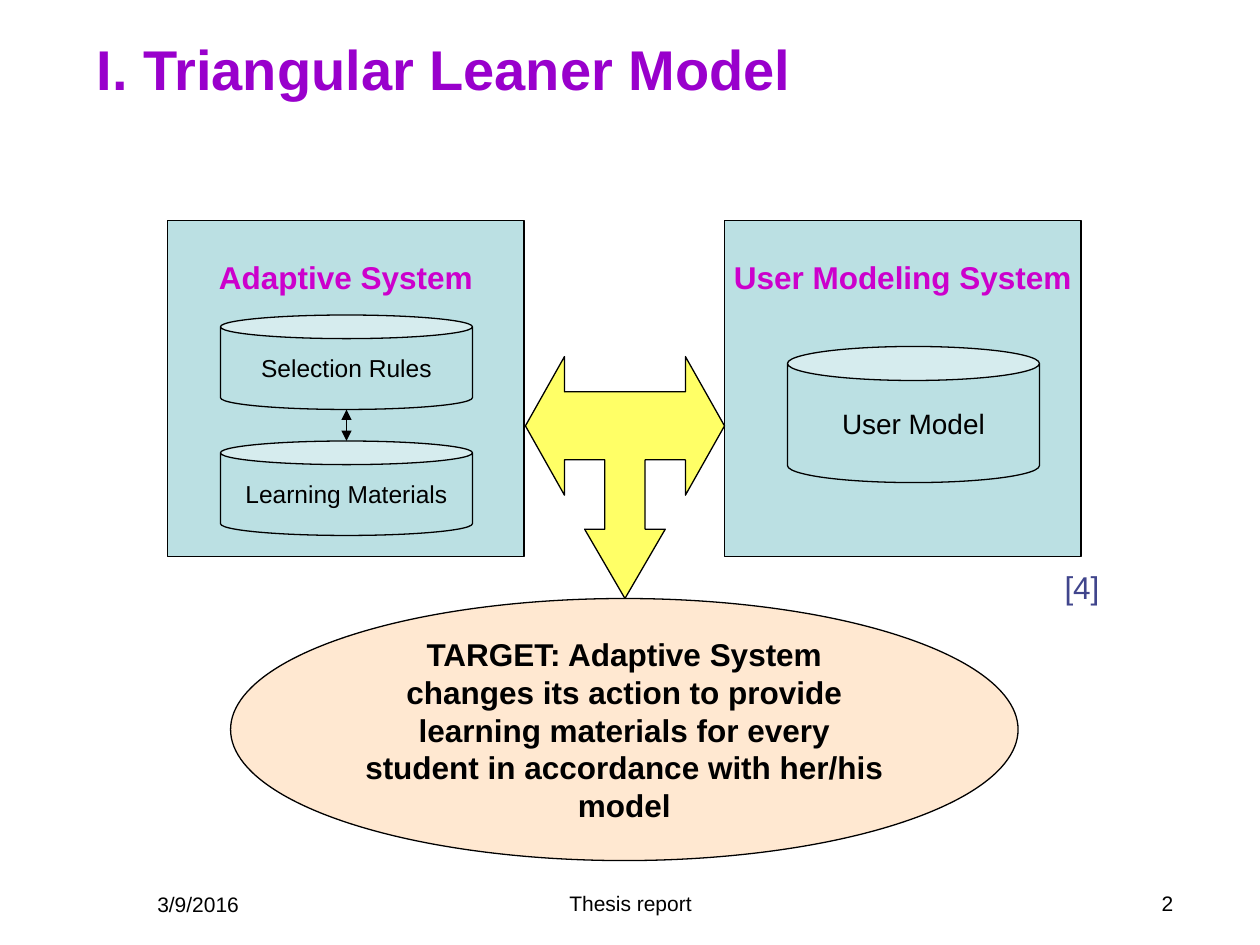
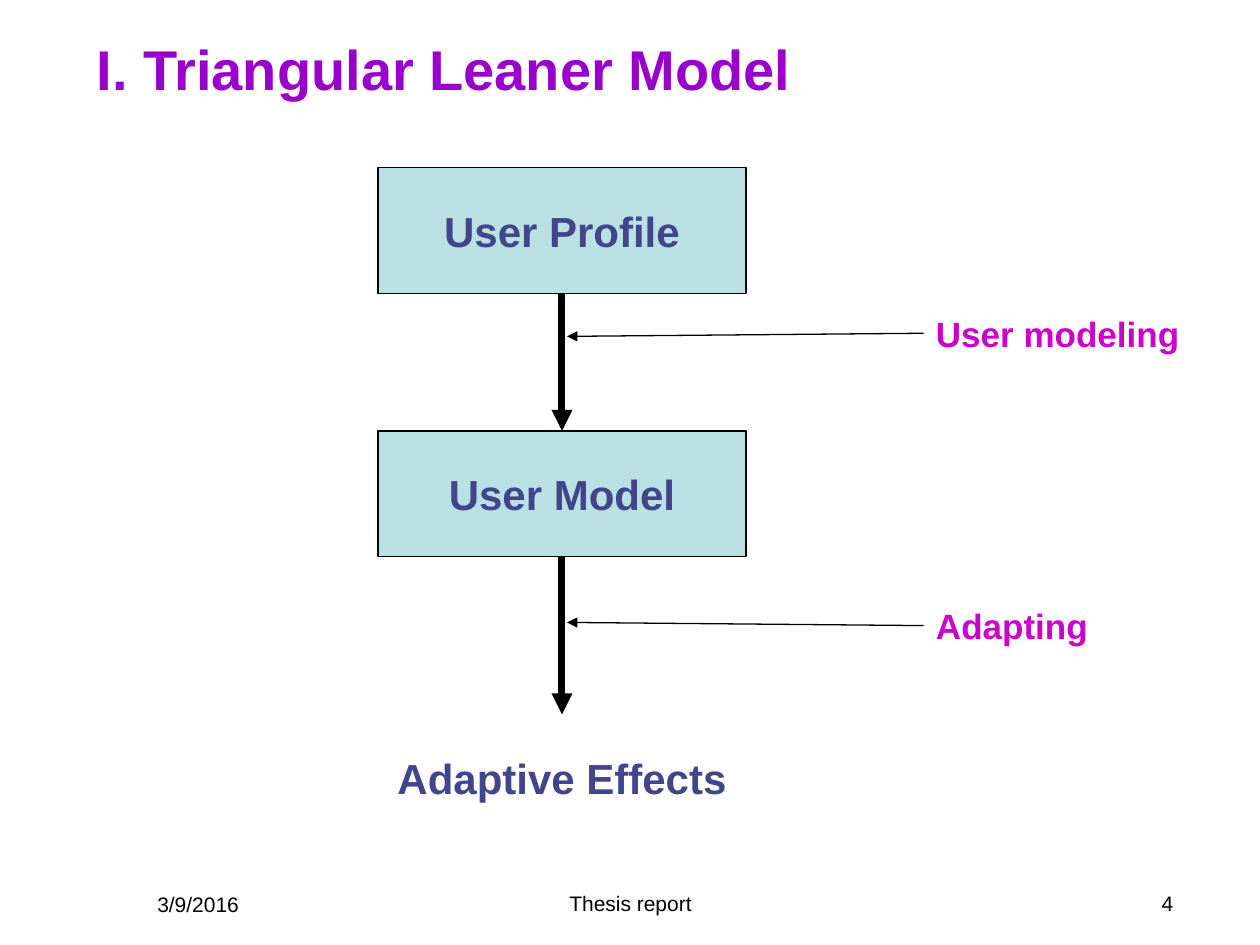
from dataclasses import dataclass
from lxml import etree
from pptx import Presentation
from pptx import util as u
from pptx.dml.color import RGBColor
from pptx.enum import shapes, text
from pptx.oxml import ns

SHAPE = shapes.MSO_SHAPE
ANCHOR = text.MSO_ANCHOR
ALIGN = text.PP_ALIGN


@dataclass(frozen=True)
class Theme:
    font: str = "Arial"
    title: str = "9900CC"
    accent: str = "CC00CC"
    navy: str = "40458C"
    ink: str = "000000"
    box: str = "BBE0E3"
    arrow: str = "FFFF66"
    target: str = "FFE8D1"
    title_size: int = 32
    node_size: int = 24
    label_size: int = 20
    body_size: int = 18
    model_size: int = 16
    store_size: int = 14
    footer_size: int = 12
    thin: float = 0.75
    thick: float = 4


T = Theme()

# Content shared by both slides
TITLE = ("I. Triangular Leaner Model", (0.67, 0.08, 8.92, 0.92))
DATE = ("3/9/2016", (1.15, 7.03, 2.33, 0.52), ALIGN.LEFT)
REPORT = ("Thesis report", (3.42, 7.02, 3.17, 0.52), ALIGN.CENTER)
NUMBER_AT = (7.08, 7.02, 2.33, 0.52)

# Content of the architecture slide
SYSTEMS = [("Adaptive System", 1.33), ("User Modeling System", 5.75)]
SYSTEM_TOP, SYSTEM_SIZE, SYSTEM_INSET = 1.75, (2.83, 2.67), 0.3
STORES = [
    ("Selection Rules", (1.75, 2.5, 2, 0.75), T.store_size),
    ("Learning Materials", (1.75, 3.5, 2, 0.75), T.store_size),
    ("User Model", (6.25, 2.75, 2, 1.08), T.model_size),
]
TARGET = ("TARGET: Adaptive System changes its action to provide learning "
          "materials for every student in accordance with her/his model",
          (1.83, 4.75, 6.25, 2.08))
CITATION = ("[4]", (8.35, 4.46, 0.48, 0.4))
# Right half of the three-way arrow: offset from its axis, then height
ARROW_AXIS, ARROW_TIP = 4.96, (0, 4.75)
ARROW_HALF = [(0.32, 4.2), (0.16, 4.2), (0.16, 3.65), (0.48, 3.65),
              (0.48, 3.93), (0.79, 3.38), (0.48, 2.83), (0.48, 3.11)]

# Content of the process slide
STAGES = [("User Profile", 1.33, True), ("User Model", 3.42, True),
          ("Adaptive Effects", 5.67, False)]
STAGE_LEFT, STAGE_SIZE = 3, (2.92, 1)
# Label, its box, and the height where its pointer meets the flow
STEPS = [("User modeling", (7.33, 2.43, 2.13, 0.43), 2.67),
         ("Adapting", (7.33, 4.75, 1.41, 0.43), 4.94)]
POINTER_END = 4.5


def inches(values):
    return [u.Inches(v) for v in values]


def write(sp, words, size, color=T.ink, bold=False, align=ALIGN.CENTER,
          **frame):
    tf = sp.text_frame
    for name, value in {"word_wrap": True, **frame}.items():
        setattr(tf, name, value)
    p = tf.paragraphs[0]
    p.alignment = align
    r = p.add_run()
    r.text = words
    for name, value in {"name": T.font, "size": u.Pt(size),
                        "bold": bold}.items():
        setattr(r.font, name, value)
    r.font.color.rgb = RGBColor.from_string(color)


def add_text(s, words, at, size, **style):
    sp = s.shapes.add_textbox(*inches(at))
    write(sp, words, size, **style)
    return sp


def paint(sp, fill):
    sp.shadow.inherit = False
    sp.fill.solid()
    sp.fill.fore_color.rgb = RGBColor.from_string(fill)
    sp.line.color.rgb = RGBColor.from_string(T.ink)
    sp.line.width = u.Pt(T.thin)


def add_box(s, kind, at, fill=T.box):
    sp = s.shapes.add_shape(kind, *inches(at))
    paint(sp, fill)
    return sp


def add_arrow(s, start, end, width=T.thin, ends=("tailEnd",)):
    c = s.shapes.add_connector(shapes.MSO_CONNECTOR.STRAIGHT,
                               *inches(start + end))
    c.line.color.rgb = RGBColor.from_string(T.ink)
    c.line.width = u.Pt(width)
    ln = c.line._get_or_add_ln()
    for name in ends:
        etree.SubElement(ln, ns.qn("a:" + name), type="triangle")
    etree.SubElement(c._element.spPr, ns.qn("a:effectLst"))
    return c


def add_base(prs, number):
    """Blank slide with the shared title and footers."""
    s = prs.slides.add_slide(prs.slide_layouts[6])
    for words, at, align in (DATE, REPORT, (number, NUMBER_AT, ALIGN.RIGHT)):
        add_text(s, words, at, T.footer_size, align=align)
    add_text(s, *TITLE, T.title_size, color=T.title, bold=True,
             align=ALIGN.LEFT, vertical_anchor=ANCHOR.MIDDLE)
    return s


def add_three_way_arrow(s):
    half = [ARROW_TIP] + ARROW_HALF
    left = [(-x, y) for x, y in reversed(ARROW_HALF)]
    points = [inches((ARROW_AXIS + x, y)) for x, y in half + left]
    outline = s.shapes.build_freeform(*points[0])
    outline.add_line_segments(points[1:], close=True)
    paint(outline.convert_to_shape(), T.arrow)


def architecture_slide(prs):
    s = add_base(prs, "2")
    # Systems
    for words, left in SYSTEMS:
        sp = add_box(s, SHAPE.RECTANGLE, (left, SYSTEM_TOP, *SYSTEM_SIZE))
        write(sp, words, T.body_size, color=T.accent, bold=True,
              word_wrap=False, vertical_anchor=ANCHOR.TOP,
              margin_top=u.Inches(SYSTEM_INSET))
    # Stores and the link between the first two
    for words, at, size in STORES:
        sp = add_box(s, SHAPE.CAN, at)
        write(sp, words, size, word_wrap=False, vertical_anchor=ANCHOR.MIDDLE)
    (left, top, width, height), lower = STORES[0][1], STORES[1][1]
    middle = left + width / 2
    add_arrow(s, (middle, top + height), (middle, lower[1]),
              ends=("headEnd", "tailEnd"))
    # Shared target
    add_three_way_arrow(s)
    words, at = TARGET
    write(add_box(s, SHAPE.OVAL, at, T.target), words, T.body_size,
          bold=True, vertical_anchor=ANCHOR.MIDDLE)
    add_text(s, *CITATION, T.body_size, color=T.navy, align=ALIGN.LEFT,
             word_wrap=False)


def process_slide(prs):
    s = add_base(prs, "4")
    # Stages
    stages = []
    for words, top, boxed in STAGES:
        at = (STAGE_LEFT, top, *STAGE_SIZE)
        sp = (add_box(s, SHAPE.RECTANGLE, at) if boxed
              else s.shapes.add_textbox(*inches(at)))
        write(sp, words, T.node_size, color=T.navy, bold=True,
              word_wrap=False, vertical_anchor=ANCHOR.MIDDLE)
        stages.append(sp)
    # Flow from each stage to the next
    for upper, lower in zip(stages, stages[1:]):
        c = add_arrow(s, (0, 0), (0, 0), T.thick)
        c.begin_connect(upper, 2)
        c.end_connect(lower, 0)
    # Step labels and their pointers
    for words, at, end in STEPS:
        label = add_text(s, words, at, T.label_size, color=T.accent,
                         bold=True, align=ALIGN.LEFT, word_wrap=False)
        c = add_arrow(s, at[:2], (POINTER_END, end))
        c.begin_connect(label, 1)


def main():
    prs = Presentation()
    prs.slide_width, prs.slide_height = inches((10, 7.5))
    architecture_slide(prs)
    process_slide(prs)
    prs.save("out.pptx")


if __name__ == "__main__":
    main()
